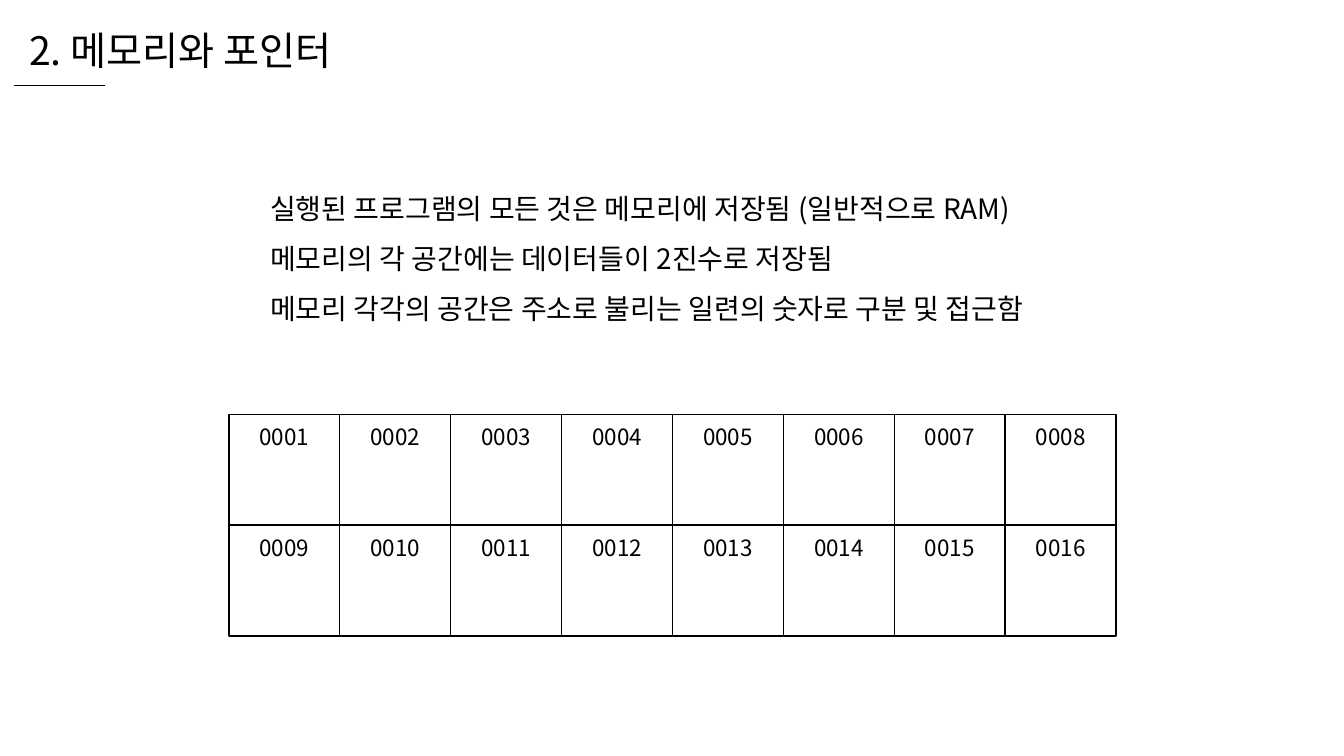
from lxml.etree import SubElement
from pptx import Presentation
from pptx.dml.color import RGBColor
from pptx.enum.shapes import MSO_CONNECTOR, MSO_SHAPE
from pptx.enum.text import MSO_AUTO_SIZE, PP_ALIGN
from pptx.oxml.ns import qn
from pptx.util import Inches, Pt

BLACK = RGBColor(0x00, 0x00, 0x00)
WHITE = RGBColor(0xFF, 0xFF, 0xFF)
FONT = "Noto Sans CJK KR"

TITLE = "2. 메모리와 포인터"
MEMORY_FACTS = [
    "실행된 프로그램의 모든 것은 메모리에 저장됨 (일반적으로 RAM)",
    "메모리의 각 공간에는 데이터들이 2진수로 저장됨",
    "메모리 각각의 공간은 주소로 불리는 일련의 숫자로 구분 및 접근함",
]
ROWS, COLUMNS = 2, 8
CELL = 1.1  # side of one memory cell, in inches


def add_text(shapes, box, lines, size, align=PP_ALIGN.LEFT, spacing=None):
    """Place unwrapped lines of text in box (left, top, width, height)."""
    text_box = shapes.add_textbox(*map(Inches, box))
    text_frame = text_box.text_frame
    text_frame.text = "\n".join(lines)
    text_frame.word_wrap = False
    text_frame.auto_size = MSO_AUTO_SIZE.SHAPE_TO_FIT_TEXT
    for paragraph in text_frame.paragraphs:
        paragraph.alignment = align
        paragraph.line_spacing = spacing
        for run in paragraph.runs:
            run.font.name = FONT
            run.font.size = Pt(size)
            run.font.color.rgb = BLACK
            # Korean glyphs use the East Asian font slot
            SubElement(run.font._element, qn("a:ea"), typeface=FONT)


def add_header(slide, left, top):
    add_text(slide.shapes, (left + 0.05, top, 3.48, 0.57), [TITLE], 28)
    rule_y = Inches(top + 0.64)
    rule = slide.shapes.add_connector(
        MSO_CONNECTOR.STRAIGHT, Inches(left), rule_y, Inches(left + 0.9), rule_y)
    rule.line.color.rgb = BLACK
    rule.line.width = Pt(0.5)
    SubElement(rule._element.spPr, qn("a:effectLst"))


def add_memory_cell(shapes, left, top, address):
    cell = shapes.add_shape(
        MSO_SHAPE.RECTANGLE, *map(Inches, (left, top, CELL, CELL)))
    cell.shadow.inherit = False
    cell.fill.solid()
    cell.fill.fore_color.rgb = WHITE
    cell.line.color.rgb = BLACK
    cell.line.width = Pt(1)
    label_width = 0.75
    label_box = (left + (CELL - label_width) / 2, top - 0.09, label_width, 0.46)
    add_text(shapes, label_box, [f"{address:04d}"], 16, PP_ALIGN.CENTER, 1.5)


def add_memory_grid(slide, left, top):
    for row in range(ROWS):
        group = slide.shapes.add_group_shape()
        for column in range(COLUMNS):
            add_memory_cell(group.shapes, left + column * CELL, top + row * CELL,
                            row * COLUMNS + column + 1)


def main():
    presentation = Presentation()
    presentation.slide_width = Inches(13.33)
    presentation.slide_height = Inches(7.5)
    slide = presentation.slides.add_slide(presentation.slide_layouts[6])

    # Title and the rule below it
    add_header(slide, 0.14, 0.21)
    # Explanation
    add_text(slide.shapes, (2.58, 1.68, 8.09, 1.56), MEMORY_FACTS, 20, spacing=1.5)
    # Memory cells with their addresses
    add_memory_grid(slide, 2.27, 4.11)

    presentation.save("out.pptx")


if __name__ == "__main__":
    main()
